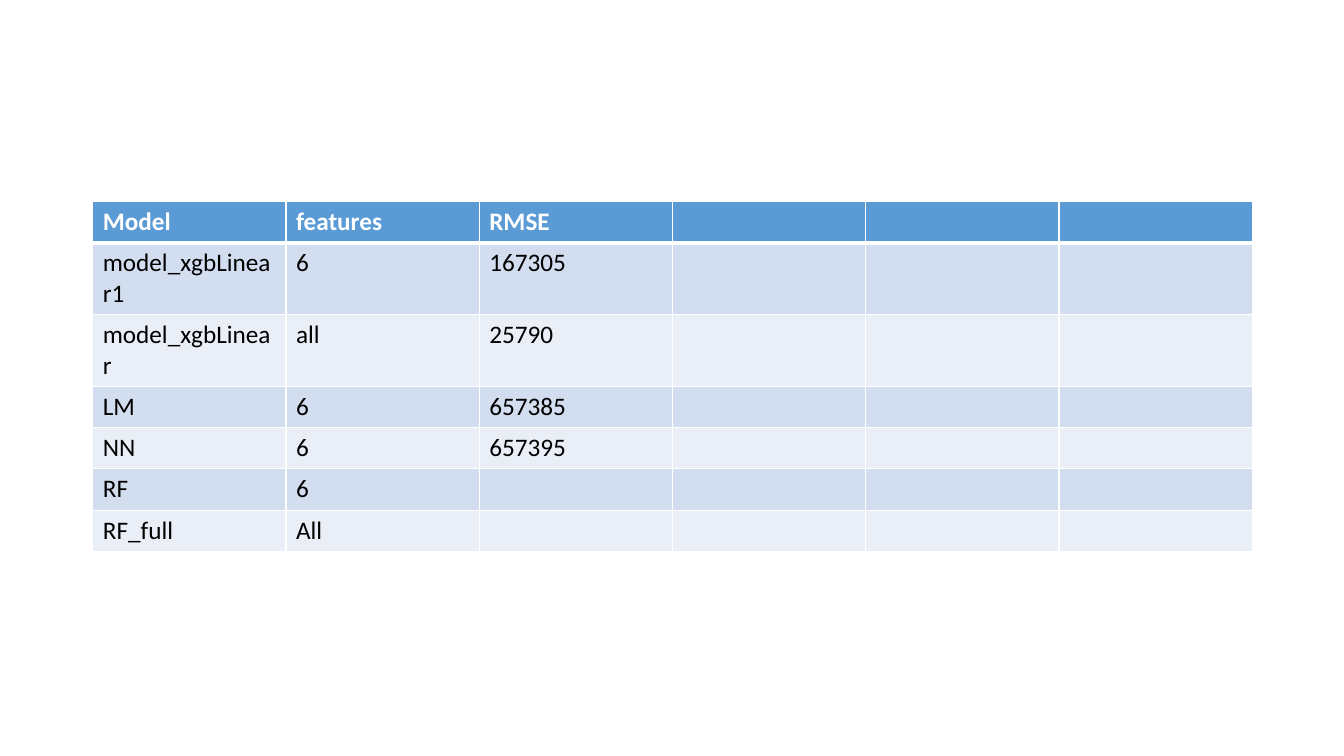
from lxml import etree
from pptx import Presentation
from pptx.dml.color import RGBColor
from pptx.oxml.ns import qn
from pptx.util import Inches, Pt

HEADINGS = ["Model", "features", "RMSE", "", "", ""]
RESULTS = [
    ("model_xgbLinear1", "6", "167305"),
    ("model_xgbLinear", "all", "25790"),
    ("LM", "6", "657385"),
    ("NN", "6", "657395"),
    ("RF", "6", ""),
    ("RF_full", "All", ""),
]
ROW_HEIGHTS = [0.41, 0.71, 0.71, 0.41, 0.41, 0.41, 0.41]
LEFT, TOP, WIDTH = 0.92, 2, 11.5
HEADER_FILL, BAND_FILLS = "5B9BD5", ("D2DEEF", "EAEFF7")
WHITE, BLACK = "FFFFFF", "000000"
THIN, THICK = 1, 3


def color(value):
    return RGBColor.from_string(value)


def add_border(cell, side, points):
    line = etree.SubElement(cell._tc.get_or_add_tcPr(), qn(f"a:ln{side}"), w=str(Pt(points)))
    fill = etree.SubElement(line, qn("a:solidFill"))
    etree.SubElement(fill, qn("a:srgbClr"), val=WHITE)


def format_cell(cell, row, text):
    header = row == 0
    borders = {
        "L": THIN,
        "R": THIN,
        "T": THICK if row == 1 else THIN,
        "B": THICK if header else THIN,
    }
    for side, points in borders.items():
        add_border(cell, side, points)
    cell.fill.solid()
    cell.fill.fore_color.rgb = color(HEADER_FILL if header else BAND_FILLS[(row - 1) % 2])
    cell.text = text
    font = cell.text_frame.paragraphs[0].font
    font.name = "Calibri"
    font.size = Pt(18)
    font.bold = header
    font.color.rgb = color(WHITE if header else BLACK)


presentation = Presentation()
presentation.slide_width = Inches(13.33)
presentation.slide_height = Inches(7.5)
slide = presentation.slides.add_slide(presentation.slide_layouts[6])

column_count = len(HEADINGS)
rows = [HEADINGS] + [list(result) + [""] * (column_count - len(result)) for result in RESULTS]
comparison = slide.shapes.add_table(
    len(rows), column_count,
    Inches(LEFT), Inches(TOP), Inches(WIDTH), Inches(sum(ROW_HEIGHTS)),
).table

for column in comparison.columns:
    column.width = Inches(WIDTH / column_count)
for row, (values, height) in enumerate(zip(rows, ROW_HEIGHTS)):
    comparison.rows[row].height = Inches(height)
    for column, text in enumerate(values):
        format_cell(comparison.cell(row, column), row, text)

presentation.save("out.pptx")
